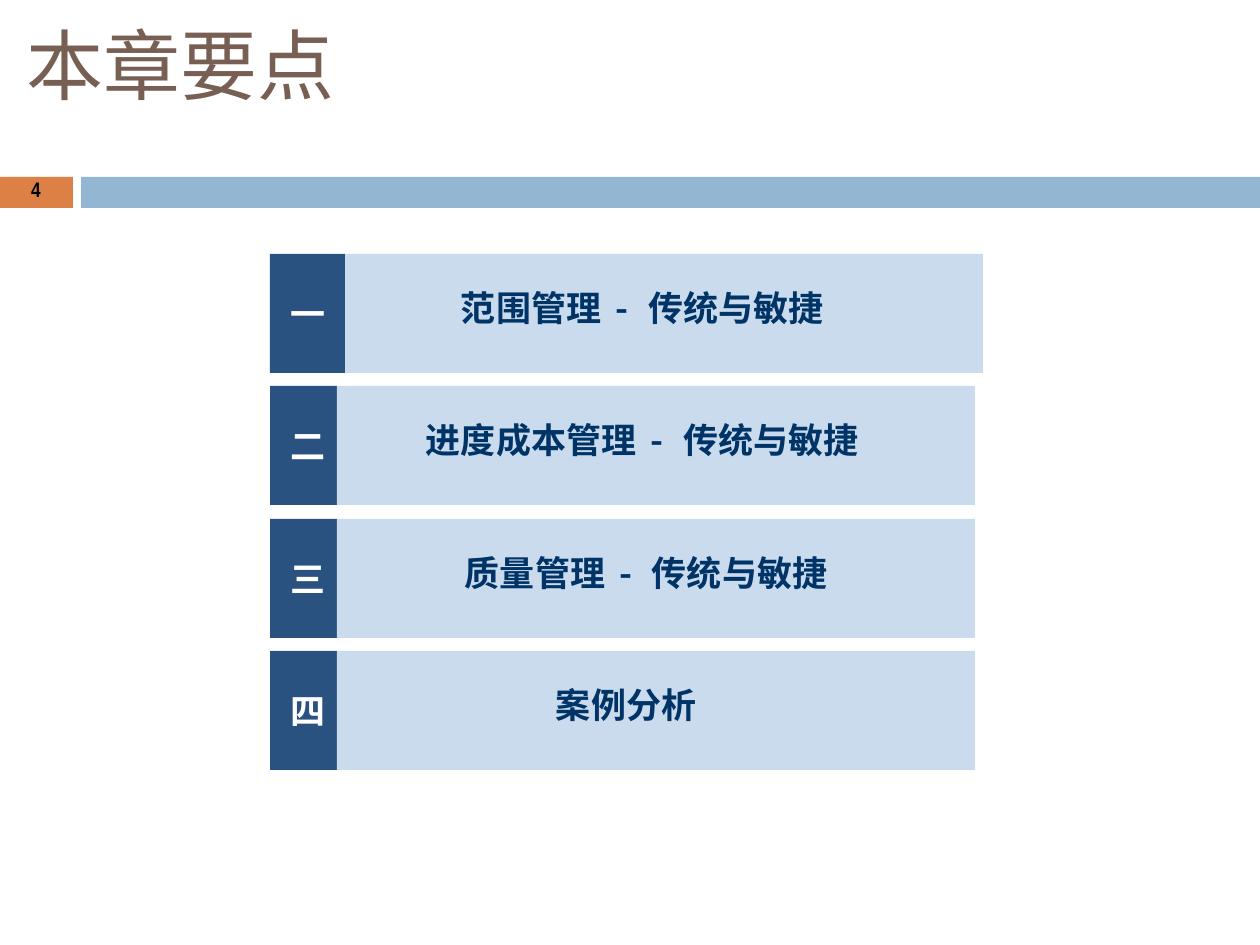
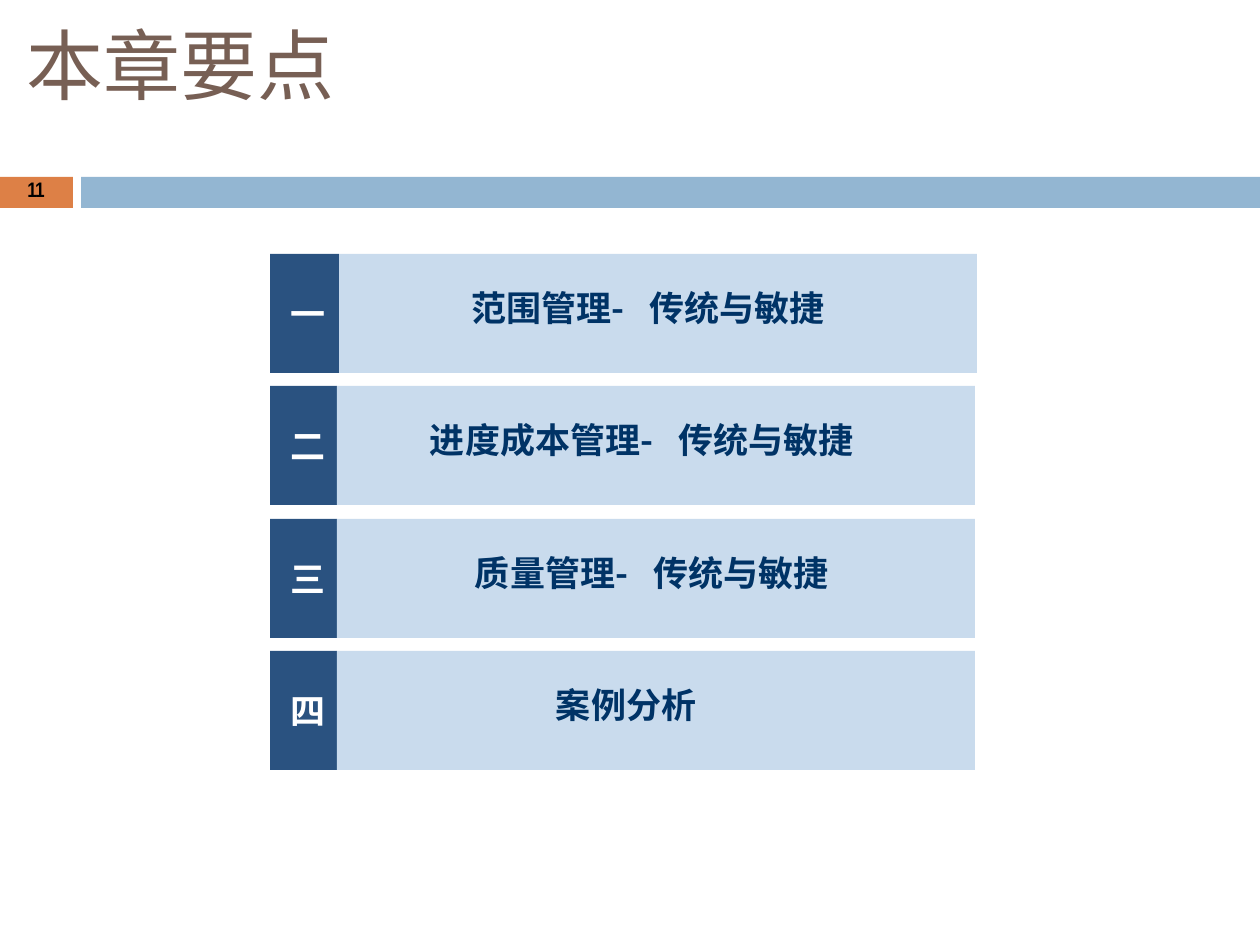
from dataclasses import dataclass

import pptx
import pptx.dml.color
import pptx.enum.shapes
import pptx.enum.text
import pptx.oxml.ns
import pptx.util
from lxml import etree

EMU_PER_PX = 914400 / 126
ROW_TOP, ROW_HEIGHT, ROW_PITCH = 254, 119, 132.33
TAB_LEFT, TAB_WIDTH, BAR_WIDTH = 270, 67, 638
BAND_TOP, BAND_HEIGHT = 177, 31

Align = pptx.enum.text.PP_ALIGN


@dataclass(frozen=True)
class Style:
    size: int
    color: str
    bold: bool = True
    font: str = "Noto Sans CJK SC"


@dataclass(frozen=True)
class Theme:
    orange: str = "DD8046"
    blue: str = "93B6D2"
    navy: str = "2A5280"
    pale: str = "C9DBED"
    title: Style = Style(44, "775F54", bold=False)
    page: Style = Style(12, "000000", font="Arial Narrow")
    tab: Style = Style(20, "FFFFFF")
    topic: Style = Style(20, "003366")


@dataclass(frozen=True)
class Topic:
    number: str
    phrases: tuple[str, ...]
    text_left: int
    tab_width: int = TAB_WIDTH


@dataclass(frozen=True)
class Agenda:
    page: str
    page_spacing: float
    dash_spacing: float
    topics: tuple[Topic, ...]


THEME = Theme()
AGENDAS = (
    Agenda("4", 0, 3.4, (
        Topic("一", ("范围管理", " - ", "传统与敏捷"), 461, 75),
        Topic("二", ("进度成本管理", " - ", "传统与敏捷"), 426),
        Topic("三", ("质量管理", " - ", "传统与敏捷"), 465),
        Topic("四", ("案例分析",), 556),
    )),
    Agenda("11", -0.5, 4.9, (
        Topic("一", ("范围管理", "- ", "传统与敏捷"), 471, 69),
        Topic("二", ("进度成本管理", "- ", "传统与敏捷"), 430),
        Topic("三", ("质量管理", "- ", "传统与敏捷"), 475),
        Topic("四", ("案例分析",), 556),
    )),
)


def px(n: float) -> int:
    return round(n * EMU_PER_PX)


def rgb(color: str) -> pptx.dml.color.RGBColor:
    return pptx.dml.color.RGBColor.from_string(color)


def place(sp, left: int, top: int, width: int, height: int) -> None:
    sp.left, sp.top, sp.width, sp.height = map(px, (left, top, width, height))


def write(sp, phrases: tuple[str, ...], style: Style, align: Align = Align.LEFT,
          left: int = 0, bottom: int = 0, spacing: float = 0) -> None:
    """Write one middle-anchored line; spacing (pt) widens the dash, or a lone phrase."""
    tf = sp.text_frame
    tf.auto_size = pptx.enum.text.MSO_AUTO_SIZE.NONE
    tf.vertical_anchor = pptx.enum.text.MSO_ANCHOR.MIDDLE
    tf.word_wrap = False
    tf.margin_top = tf.margin_right = 0
    tf.margin_left, tf.margin_bottom = px(left), px(bottom)
    p = tf.paragraphs[0]
    p.alignment = align
    p.font.name, p.font.size = style.font, pptx.util.Pt(style.size)
    p.font.bold, p.font.color.rgb = style.bold, rgb(style.color)
    latin = p._p.pPr.find(".//" + pptx.oxml.ns.qn("a:latin"))
    east_asian = etree.Element(pptx.oxml.ns.qn("a:ea"), typeface=style.font)
    latin.addnext(east_asian)
    for phrase in phrases:
        r = p.add_run()
        r.text = phrase
        if spacing and ("-" in phrase or len(phrases) == 1):
            r._r.get_or_add_rPr().set("spc", str(round(spacing * 100)))


def add_block(s, left: int, top: int, width: int, height: int, fill: str):
    sp = s.shapes.add_shape(pptx.enum.shapes.MSO_SHAPE.RECTANGLE,
                            px(left), px(top), px(width), px(height))
    sp.shadow.inherit = False
    sp.fill.solid()
    sp.fill.fore_color.rgb = rgb(fill)
    sp.line.fill.background()
    return sp


def add_frame(s, agenda: Agenda) -> None:
    """Add the bands, title and page number that all slides share."""
    add_block(s, 0, BAND_TOP, 73, BAND_HEIGHT, THEME.orange)
    add_block(s, 81, BAND_TOP, 1179, BAND_HEIGHT, THEME.blue)
    title = s.shapes.title
    place(title, 25, 8, 312, 112)
    write(title, ("本章要点",), THEME.title, left=2)
    page = s.shapes.add_textbox(px(24), px(175), px(24), px(29))
    write(page, (agenda.page,), THEME.page, Align.CENTER,
          spacing=agenda.page_spacing)


def add_topic(s, topic: Topic, top: int, dash_spacing: float) -> None:
    bar_left = TAB_LEFT + topic.tab_width
    tab = add_block(s, TAB_LEFT, top, topic.tab_width, ROW_HEIGHT, THEME.navy)
    write(tab, (topic.number,), THEME.tab, left=21)
    bar = add_block(s, bar_left, top, BAR_WIDTH, ROW_HEIGHT, THEME.pale)
    spacing = dash_spacing if len(topic.phrases) > 1 else 0
    write(bar, topic.phrases, THEME.topic, left=topic.text_left - bar_left,
          bottom=12, spacing=spacing)


def main() -> None:
    prs = pptx.Presentation()
    prs.slide_width, prs.slide_height = px(1260), px(945)
    for agenda in AGENDAS:
        s = prs.slides.add_slide(prs.slide_layouts[5])
        add_frame(s, agenda)
        for i, topic in enumerate(agenda.topics):
            add_topic(s, topic, round(ROW_TOP + i * ROW_PITCH), agenda.dash_spacing)
    prs.save("out.pptx")


if __name__ == "__main__":
    main()
